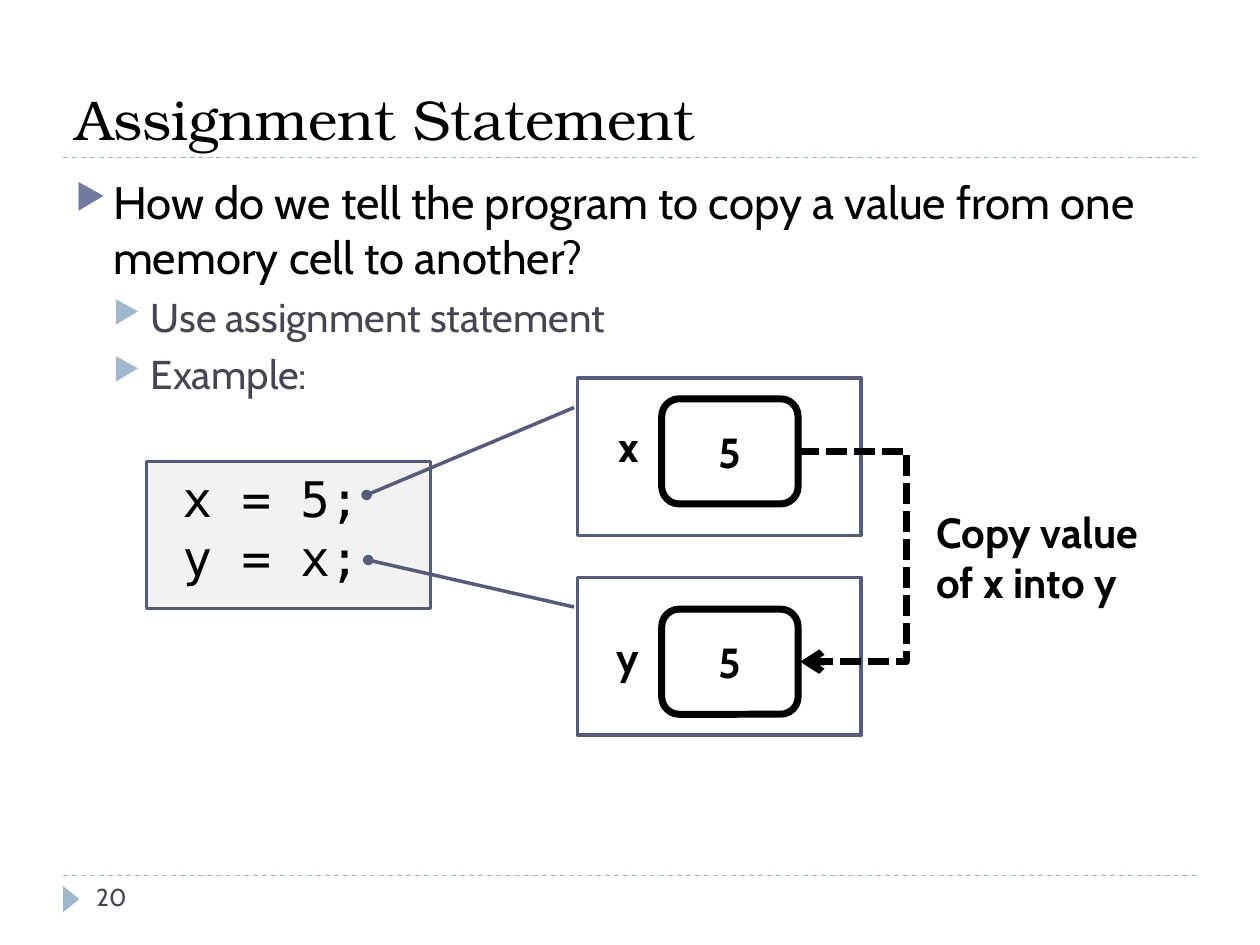
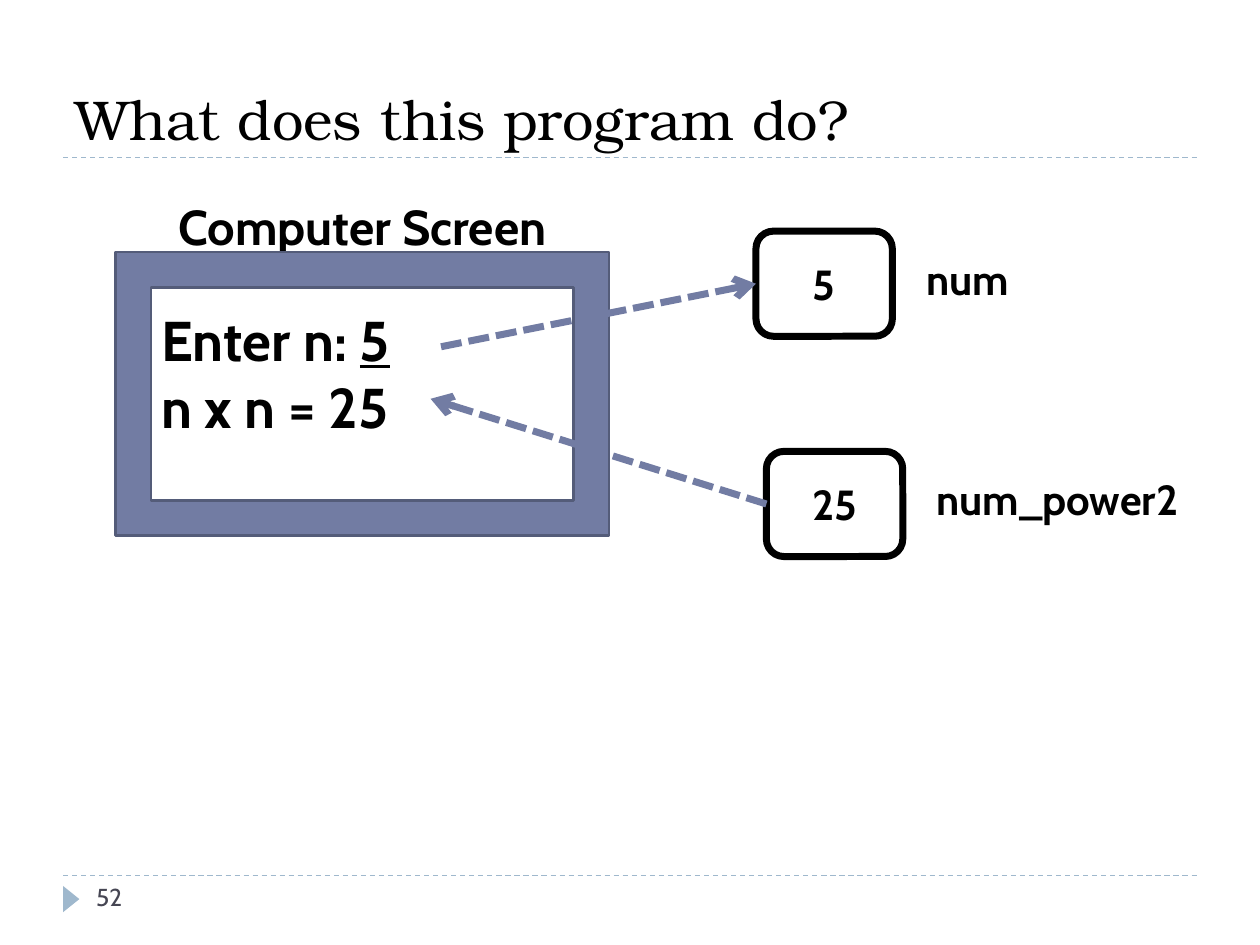
from lxml.etree import SubElement
from pptx import Presentation
from pptx.dml.color import RGBColor
from pptx.enum.dml import MSO_LINE
from pptx.enum.shapes import MSO_CONNECTOR, MSO_SHAPE
from pptx.enum.text import MSO_ANCHOR, PP_ALIGN
from pptx.oxml.ns import qn
from pptx.util import Cm, Pt

BLACK, GRAY, PALE, WHITE = "000000", "464653", "F2F2F2", "FFFFFF"
BLUE, LIGHT, NAVY = "727CA3", "9FB8CD", "545C79"
SERIF, SANS, MONO = "TeX Gyre Bonum", "Cabin", "DejaVu Sans Mono"

LEFT, WIDTH = 1.27, 22.86
TITLE_RULE, FOOT_RULE = 3.18, 17.65
CELL_W, CELL_H = 2.75, 2.12
LABEL_DROP, LABEL_H = 0.21, 1.48
PANEL = (5.72, 3.18)

TITLES = [("Assignment Statement", "20"), ("What does this program do?", "52")]
BULLETS = [
    (0, "How do we tell the program to copy a value from one memory cell to another?"),
    (1, "Use assignment statement"),
    (1, "Example:"),
]
LEVELS = [(26, BLACK, BLUE, 6), (23, GRAY, LIGHT, 5)]
CODE = [[" x = 5;"], [" y = x;"]]
ASSIGNMENTS = [
    ("x", "5", 8.04, 7.62, (0.188, -0.012, 0.742, -0.743)),
    ("y", "5", 12.28, 11.64, (0.188, -0.012, -0.11, -0.737)),
]
SCREEN = [["Enter n: ", ("5", True)], ["n x n = 25"]]
VARIABLES = [
    ("num", "5", 15.24, 4.66, 18.42, 4.45),
    ("num_power2", "25", 15.45, 9.1, 18.63, 6.35),
]


def color(hex_color):
    return RGBColor.from_string(hex_color)


def set_line(sp, hex_color, width, dash=None, end=None):
    sp.line.color.rgb = color(hex_color)
    sp.line.width = Pt(width)
    if dash is not None:
        sp.line.dash_style = dash
    if end:
        SubElement(sp.line._get_or_add_ln(), qn("a:tailEnd"), type=end)


def write(sp, paras, size, font=SANS, fill=BLACK, bold=False,
          align=PP_ALIGN.LEFT, anchor=MSO_ANCHOR.MIDDLE):
    tf = sp.text_frame
    tf.word_wrap = True
    tf.vertical_anchor = anchor
    for i, runs in enumerate(paras):
        p = tf.paragraphs[0] if i == 0 else tf.add_paragraph()
        p.alignment = align
        for run in runs:
            text, underline = run if isinstance(run, tuple) else (run, None)
            r = p.add_run()
            r.text = text
            r.font.name, r.font.size, r.font.bold = font, Pt(size), bold
            r.font.underline = underline
            r.font.color.rgb = color(fill)
    return tf


def add_text(s, box, paras, size, **style):
    return write(s.shapes.add_textbox(*map(Cm, box)), paras, size, **style)


def add_shape(s, kind, box, fill=None, line=None, end=None):
    sp = s.shapes.add_shape(kind, *map(Cm, box))
    sp.shadow.inherit = False
    if fill:
        sp.fill.solid()
        sp.fill.fore_color.rgb = color(fill)
    else:
        sp.fill.background()
    if line:
        set_line(sp, *line, end=end)
    else:
        sp.line.fill.background()
    return sp


def add_line(s, points, hex_color, width, dash, end=None, kind=MSO_CONNECTOR.STRAIGHT):
    cn = s.shapes.add_connector(kind, *map(Cm, points))
    set_line(cn, hex_color, width, dash, end)
    SubElement(cn._element.spPr, qn("a:effectLst"))
    return cn


def add_cell(s, x, y, value):
    sp = add_shape(s, MSO_SHAPE.ROUNDED_RECTANGLE, (x, y, CELL_W, CELL_H), line=(BLACK, 4))
    write(sp, [[value]], 24, bold=True, align=PP_ALIGN.CENTER)
    return sp


def add_label(s, x, cell_y, w, text, align=PP_ALIGN.LEFT):
    add_text(s, (x, cell_y + LABEL_DROP, w, LABEL_H), [[text]], 24, bold=True, align=align)


def add_base(prs, title, number):
    s = prs.slides.add_slide(prs.slide_layouts[6])
    s.background.fill.solid()
    s.background.fill.fore_color.rgb = color(WHITE)
    for y in (FOOT_RULE, TITLE_RULE):
        add_line(s, (LEFT, y, LEFT + WIDTH, y), LIGHT, 0.75, MSO_LINE.DASH)
    marker = add_shape(s, MSO_SHAPE.ISOSCELES_TRIANGLE, (1.17, 17.96, 0.53, 0.33), LIGHT)
    marker.rotation = 90
    add_text(s, (LEFT, 0.43, WIDTH, 2.75), [[title]], 32, font=SERIF, anchor=MSO_ANCHOR.BOTTOM)
    add_text(s, (1.69, FOOT_RULE, 5.5, 1.02), [[number]], 14, fill=GRAY, anchor=MSO_ANCHOR.TOP)
    return s


def add_bullets(s):
    tf = add_text(s, (LEFT, 3.39, WIDTH, 13.72), [[text] for _, text in BULLETS], 26,
                  anchor=MSO_ANCHOR.TOP)
    for i, (p, (level, _)) in enumerate(zip(tf.paragraphs, BULLETS)):
        size, fill, mark, before = LEVELS[level]
        p.level = level
        if i:
            p.space_before = Pt(before)
        pPr = p._p.get_or_add_pPr()
        pPr.set("marL", str(Cm(0.76 * (level + 1))))
        pPr.set("indent", str(-Cm(0.76)))
        SubElement(SubElement(pPr, qn("a:buClr")), qn("a:srgbClr"), val=mark)
        SubElement(pPr, qn("a:buSzPct"), val="76000")
        SubElement(pPr, qn("a:buChar"), char="▶")
        p.runs[0].font.size = Pt(size)
        p.runs[0].font.color.rgb = color(fill)


def build_assignment(s):
    add_bullets(s)
    code = add_shape(s, MSO_SHAPE.RECTANGLE, (2.96, 9.31, 5.72, 2.96), PALE, (NAVY, 1.5))
    tf = write(code, CODE, 28, font=MONO, anchor=MSO_ANCHOR.TOP)
    tf.margin_left = tf.margin_right = tf.margin_top = tf.margin_bottom = Cm(0.13)

    cell_x = 13.34
    for name, value, y, panel_y, pointer in ASSIGNMENTS:
        callout = add_shape(s, MSO_SHAPE.LINE_CALLOUT_1, (11.64, panel_y, *PANEL),
                            line=(NAVY, 2), end="oval")
        for i, adj in enumerate(pointer):
            callout.adjustments[i] = adj
        add_cell(s, cell_x, y, value)
        add_label(s, 12.07, y, 1.06, name, PP_ALIGN.RIGHT)

    right, shift, reach = cell_x + CELL_W, 0.04, 2.18
    start, stop = (a[2] + CELL_H / 2 for a in ASSIGNMENTS)
    arrow = add_line(s, (right, start, right + shift, stop), BLACK, 4, MSO_LINE.SQUARE_DOT,
                     "arrow", MSO_CONNECTOR.ELBOW)
    geom = arrow._element.spPr.find(qn("a:prstGeom"))
    av = geom.find(qn("a:avLst"))
    if av is None:
        av = SubElement(geom, qn("a:avLst"))
    SubElement(av, qn("a:gd"), name="adj1", fmla=f"val {round(reach / shift * 100000)}")
    add_text(s, (18.63, 9.95, 5.29, 2.54), [["Copy value of x into y"]], 24, bold=True)


def build_program(s):
    tf = add_text(s, (2.75, 5.5, 8.89, 4.02), SCREEN, 32, bold=True)
    tf.margin_left = Cm(0.5)
    add_text(s, (2.33, 3.81, 9.95, 1.48), [["Computer Screen"]], 28, bold=True,
             align=PP_ALIGN.CENTER)
    add_shape(s, MSO_SHAPE.FRAME, (2.33, 5.08, 9.95, 5.72), BLUE, (NAVY, 1.5))

    cells = []
    for name, value, x, y, label_x, label_w in VARIABLES:
        cells.append(add_cell(s, x, y, value))
        add_label(s, label_x, y, label_w, name)

    num, power = cells
    dash = MSO_LINE.SQUARE_DOT
    read = add_line(s, (8.89, 6.99, 15.24, 5.72), BLUE, 4, dash, "arrow")
    read.end_connect(num, 1)
    shown = add_line(s, (15.45, 10.16, 8.68, 8.04), BLUE, 4, dash, "arrow")
    shown.begin_connect(power, 1)


def main():
    prs = Presentation()
    prs.slide_width, prs.slide_height = Cm(25.4), Cm(19.05)
    for heading, build in zip(TITLES, (build_assignment, build_program)):
        build(add_base(prs, *heading))
    prs.save("out.pptx")


if __name__ == "__main__":
    main()
